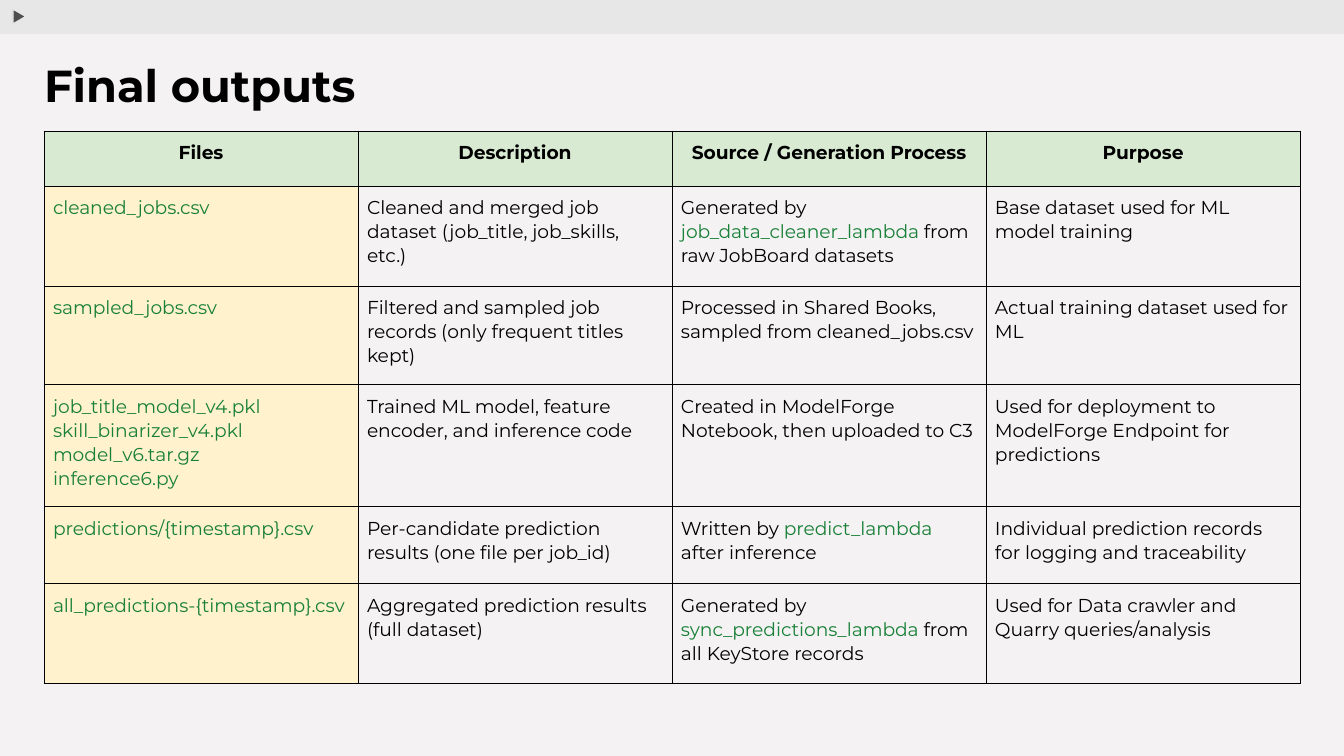
import copy

import lxml.etree
import pptx
import pptx.dml.color
import pptx.enum.shapes
import pptx.enum.text
import pptx.oxml.ns
import pptx.util

PX = 914400 / 134.4
FONT = "Montserrat"
COLORS = {
    "page": "F4F2F2", "bar": "E7E7E7", "arrow": "4F4F4F", "text": "000000",
    "code": "188038", "header": "D9EAD3", "files": "FFF2CC",
}
ROW_HEIGHTS = [55, 100, 99, 122, 77, 100]
# Backticks enclose text in the code colour.
ROWS = [
    ["Files", "Description", "Source / Generation Process", "Purpose"],
    ["`cleaned_jobs.csv`",
     "Cleaned and merged job dataset (job_title, job_skills, etc.)",
     "Generated by `job_data_cleaner_lambda` from raw JobBoard datasets",
     "Base dataset used for ML model training"],
    ["`sampled_jobs.csv`",
     "Filtered and sampled job records (only frequent titles kept)",
     "Processed in Shared Books, sampled from cleaned_jobs.csv",
     "Actual training dataset used for ML"],
    ["`job_title_model_v4.pkl\nskill_binarizer_v4.pkl\nmodel_v6.tar.gz\ninference6.py`",
     "Trained ML model, feature encoder, and inference code",
     "Created in ModelForge Notebook, then uploaded to C3",
     "Used for deployment to ModelForge Endpoint for predictions"],
    ["`predictions/{timestamp}.csv`",
     "Per-candidate prediction results (one file per job_id)",
     "Written by `predict_lambda` after inference",
     "Individual prediction records for logging and traceability"],
    ["`all_predictions-{timestamp}.csv`",
     "Aggregated prediction results (full dataset)",
     "Generated by `sync_predictions_lambda` from all KeyStore records",
     "Used for Data crawler and Quarry queries/analysis"],
]


def px(n):
    return pptx.util.Emu(round(n * PX))


def rgb(name):
    return pptx.dml.color.RGBColor.from_string(COLORS[name])


def set_fill(fill, name):
    fill.solid()
    fill.fore_color.rgb = rgb(name)


def set_insets(target, margin):
    target.margin_left = target.margin_right = px(margin)
    target.margin_top = target.margin_bottom = px(margin)


def style_run(r, size, color="text", bold=False):
    r.font.name = FONT
    r.font.size = pptx.util.Pt(size)
    r.font.bold = bold
    r.font.color.rgb = rgb(color)


def add_shape(s, kind, x, y, w, h, color):
    sp = s.shapes.add_shape(kind, px(x), px(y), px(w), px(h))
    sp.shadow.inherit = False
    set_fill(sp.fill, color)
    sp.line.fill.background()
    return sp


def add_top_bar(s, x, y, w, h):
    kinds = pptx.enum.shapes.MSO_SHAPE
    add_shape(s, kinds.RECTANGLE, x, y, w, h, "bar")
    arrow = add_shape(s, kinds.ISOSCELES_TRIANGLE, x + 12, y + 10, 15, 13, "arrow")
    arrow.rotation = 90
    arrow.line.color.rgb = rgb("bar")
    arrow.line.width = pptx.util.Pt(0.75)


def set_title(s, x, y, w, h):
    sp = s.shapes.title
    sp.left, sp.top, sp.width, sp.height = px(x), px(y), px(w), px(h)
    tf = sp.text_frame
    tf.text = "Final outputs"
    tf.vertical_anchor = pptx.enum.text.MSO_ANCHOR.TOP
    set_insets(tf, 13)
    p = tf.paragraphs[0]
    p.alignment = pptx.enum.text.PP_ALIGN.LEFT
    p.line_spacing = 0.9
    style_run(p.runs[0], 24, bold=True)


def set_borders(cell):
    """Draw a thin line on every side; must run before the cell is filled."""
    tcPr = cell._tc.get_or_add_tcPr()
    for side in ("a:lnL", "a:lnR", "a:lnT", "a:lnB"):
        ln = lxml.etree.SubElement(tcPr, pptx.oxml.ns.qn(side), w="6350")
        solid = lxml.etree.SubElement(ln, pptx.oxml.ns.qn("a:solidFill"))
        lxml.etree.SubElement(solid, pptx.oxml.ns.qn("a:srgbClr"), val=COLORS["text"])


def write_cell(cell, text, header):
    set_insets(cell, 9)
    p = cell.text_frame.paragraphs[0]
    p.line_spacing = 1.07
    p.space_after = pptx.util.Pt(8)
    if header:
        p.alignment = pptx.enum.text.PP_ALIGN.CENTER
    for i, part in enumerate(text.split("`")):
        if not part:
            continue
        for j, line in enumerate(part.split("\n")):
            if j:
                p.add_line_break()
            r = p.add_run()
            r.text = line
            style_run(r, 10, "code" if i % 2 else "text", header)
    # Line breaks take the run format, so that they keep the line height.
    for br in p._p.findall(pptx.oxml.ns.qn("a:br")):
        br.insert(0, copy.deepcopy(p.runs[0]._r.rPr))


def add_outputs_table(s, x, y, w):
    table = s.shapes.add_table(len(ROWS), len(ROWS[0]), px(x), px(y), px(w),
                               px(sum(ROW_HEIGHTS))).table
    table.first_row = table.horz_banding = False
    for column in table.columns:
        column.width = px(w / len(ROWS[0]))
    for i, (texts, height) in enumerate(zip(ROWS, ROW_HEIGHTS)):
        table.rows[i].height = px(height)
        for j, text in enumerate(texts):
            cell = table.cell(i, j)
            set_borders(cell)
            if i == 0:
                set_fill(cell.fill, "header")
            elif j == 0:
                set_fill(cell.fill, "files")
            else:
                cell.fill.background()
            write_cell(cell, text, i == 0)


def main():
    prs = pptx.Presentation()
    prs.slide_width, prs.slide_height = px(1344), px(756)
    s = prs.slides.add_slide(prs.slide_layouts[5])
    set_fill(s.background.fill, "page")
    add_top_bar(s, 0, 0, 1344, 34)
    set_title(s, 31, 51, 785, 77)
    add_outputs_table(s, 44, 131, 1256)
    prs.save("out.pptx")


if __name__ == "__main__":
    main()
